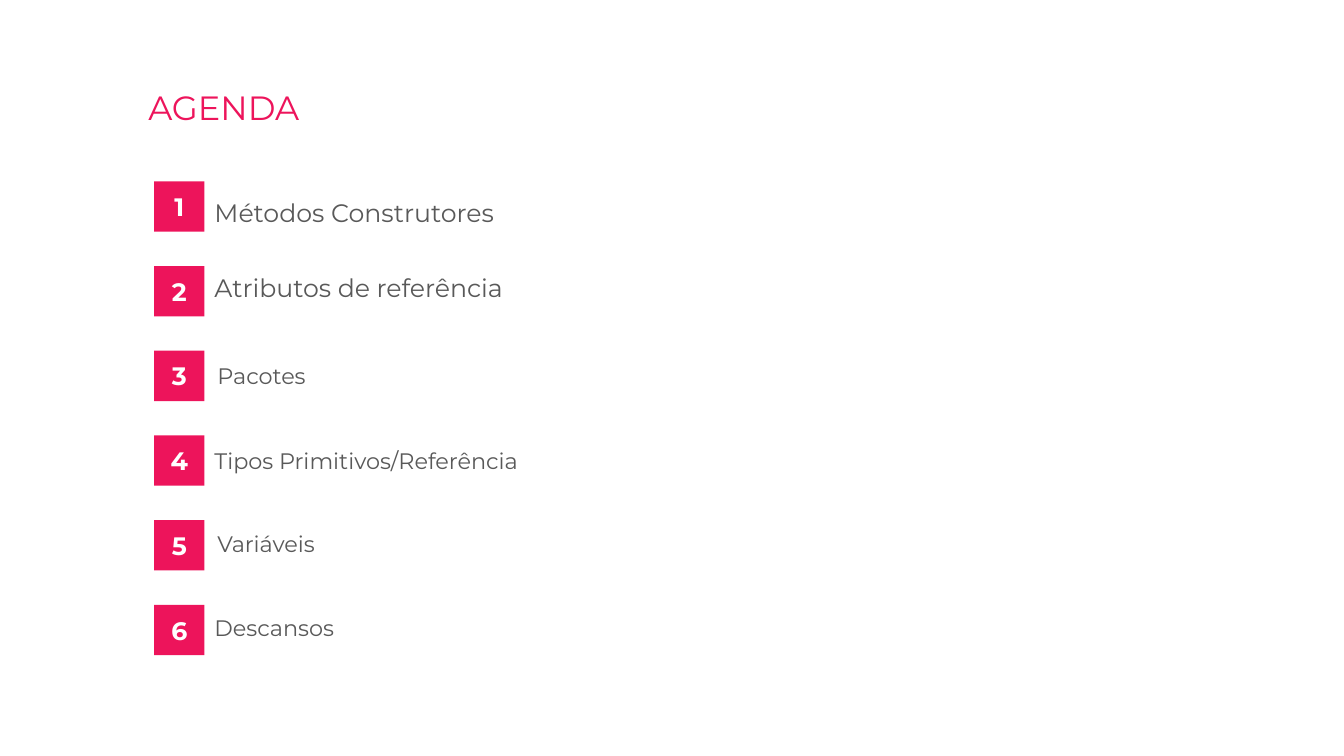
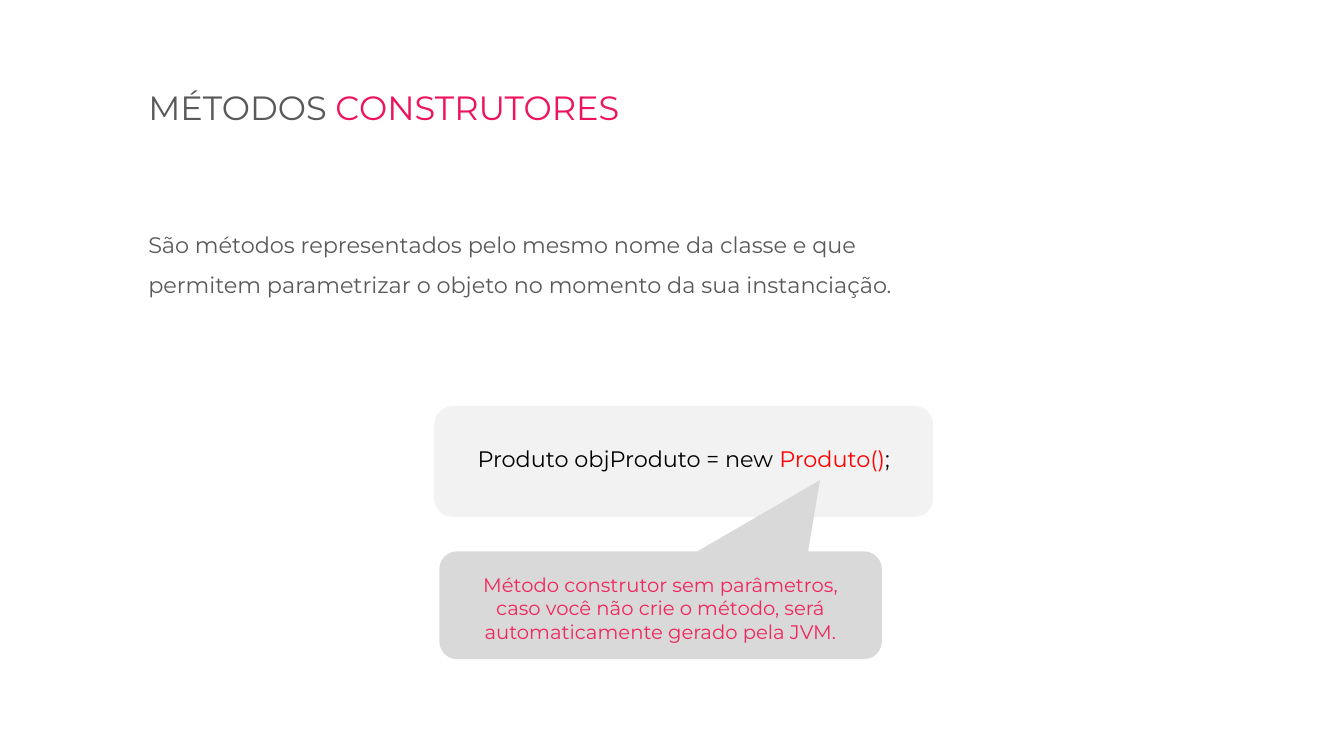
import dataclasses
import pptx
import pptx.util
import pptx.dml.color
import pptx.enum.shapes
import pptx.enum.text

Shape = pptx.enum.shapes.MSO_SHAPE
Align = pptx.enum.text.PP_ALIGN
Anchor = pptx.enum.text.MSO_ANCHOR
Size = pptx.enum.text.MSO_AUTO_SIZE


@dataclasses.dataclass(frozen=True)
class Theme:
    font: str = "Montserrat"
    pink: str = "ED145B"
    rose: str = "F0265D"
    red: str = "FF0000"
    black: str = "000000"
    white: str = "FFFFFF"
    text: str = "595959"
    pale: str = "F2F2F2"
    grey: str = "D9D9D9"
    head: int = 24
    large: int = 18
    body: int = 16
    small: int = 14


@dataclasses.dataclass(frozen=True)
class Box:
    x: float
    y: float
    w: float
    h: float

    def inner(self, x, y, w, h):
        return Box(self.x + x, self.y + y, w, h)

    def area(self):
        return [round(n * CELL) for n in (self.x, self.y, self.w, self.h)]


theme = Theme()
WIDE, HIGH = pptx.util.Inches(13.33), pptx.util.Inches(7.5)
COLS = 32
CELL = WIDE / COLS
TITLE = Box(3.29, 1.94, 13.37, 1.2)


def tint(code):
    return pptx.dml.color.RGBColor.from_string(code)


def write(frame, parts, size, color, align=Align.LEFT, anchor=Anchor.MIDDLE,
          bold=False, space=1.0, wrap=True):
    frame.word_wrap = wrap
    frame.auto_size = Size.NONE
    frame.vertical_anchor = anchor
    para = frame.paragraphs[0]
    para.alignment = align
    para.line_spacing = space
    para.space_before = pptx.util.Pt(0)
    font = para.font
    font.name, font.size, font.bold = theme.font, pptx.util.Pt(size), bold
    font.color.rgb = tint(color)
    for words, shade in parts:
        run = para.add_run()
        run.text = words
        if shade != color:
            run.font.color.rgb = tint(shade)


def place(shape, box):
    shape.left, shape.top, shape.width, shape.height = box.area()


def block(slide, kind, box, fill):
    shape = slide.shapes.add_shape(kind, *box.area())
    shape.shadow.inherit = False
    shape.fill.solid()
    shape.fill.fore_color.rgb = tint(fill)
    shape.line.fill.background()
    return shape


def start(deck, layout, parts):
    slide = deck.slides.add_slide(deck.slide_layouts.get_by_name(layout))
    title = slide.shapes.title
    place(title, TITLE)
    write(title.text_frame, parts, theme.head, theme.pink, anchor=Anchor.TOP)
    return slide


def agenda(slide, box, items):
    side = 1.2
    pitch = box.h / len(items)
    for row, (words, size, inset, shift) in enumerate(items):
        top = row * pitch
        badge = block(slide, Shape.RECTANGLE, box.inner(0, top, side, side), theme.pink)
        write(badge.text_frame, [(str(row + 1), theme.white)], theme.large,
              theme.white, Align.CENTER, bold=True)
        spot = box.inner(side + inset, top + shift, box.w - side - inset, side)
        label = slide.shapes.add_textbox(*spot.area())
        write(label.text_frame, [(words, theme.text)], size, theme.text)


def intro(slide, box, words):
    body = slide.placeholders[1]
    place(body, box)
    write(body.text_frame, [(words, theme.text)], theme.body, theme.text,
          anchor=Anchor.TOP, space=1.5)
    props = body.text_frame.paragraphs[0]._p.get_or_add_pPr()
    props.set("marL", "0")
    props.set("indent", "0")
    bullet = pptx.oxml.parse_xml(
        '<a:buNone xmlns:a="http://schemas.openxmlformats.org/drawingml/2006/main"/>')
    props.insert_element_before(bullet, "a:tabLst", "a:defRPr", "a:extLst")


def code(slide, box, parts):
    panel = block(slide, Shape.ROUNDED_RECTANGLE, box, theme.pale)
    panel.text_frame.margin_bottom = pptx.util.Inches(0.1)
    write(panel.text_frame, parts, theme.body, theme.black, Align.CENTER, wrap=False)


def callout(slide, box, words):
    note = block(slide, Shape.ROUNDED_RECTANGULAR_CALLOUT, box, theme.grey)
    note.adjustments[0] = 0.36
    note.adjustments[1] = -1.16
    frame = note.text_frame
    frame.margin_left = frame.margin_right = pptx.util.Inches(0.19)
    frame.margin_top = pptx.util.Inches(0.1)
    write(frame, [(words, theme.rose)], theme.small, theme.rose, Align.CENTER)


def main():
    deck = pptx.Presentation()
    deck.slide_width, deck.slide_height = WIDE, HIGH

    first = start(deck, "Title Only", [("AGENDA", theme.pink)])
    agenda(first, Box(3.67, 4.32, 21.6, 12.1), [
        ("Métodos Construtores", theme.large, 0, 0.14),
        ("Atributos de referência", theme.large, 0, -0.1),
        ("Pacotes", theme.body, 0.07, 0),
        ("Tipos Primitivos/Referência", theme.body, 0, 0),
        ("Variáveis", theme.body, 0.07, -0.04),
        ("Descansos", theme.body, 0, -0.06),
    ])

    second = start(deck, "Title and Content",
                   [("MÉTODOS ", theme.text), ("CONSTRUTORES", theme.pink)])
    intro(second, Box(TITLE.x, 5.06, 19.46, 3.98),
          "São métodos representados pelo mesmo nome da classe e que permitem "
          "parametrizar o objeto no momento da sua instanciação.")
    code(second, Box(10.34, 9.67, 11.88, 2.64),
         [("Produto objProduto = new ", theme.black),
          ("Produto()", theme.red), (";", theme.black)])
    callout(second, Box(10.46, 13.13, 10.54, 2.57),
            "Método construtor sem parâmetros, caso você não crie o método, "
            "será automaticamente gerado pela JVM.")
    deck.save("out.pptx")


main()
